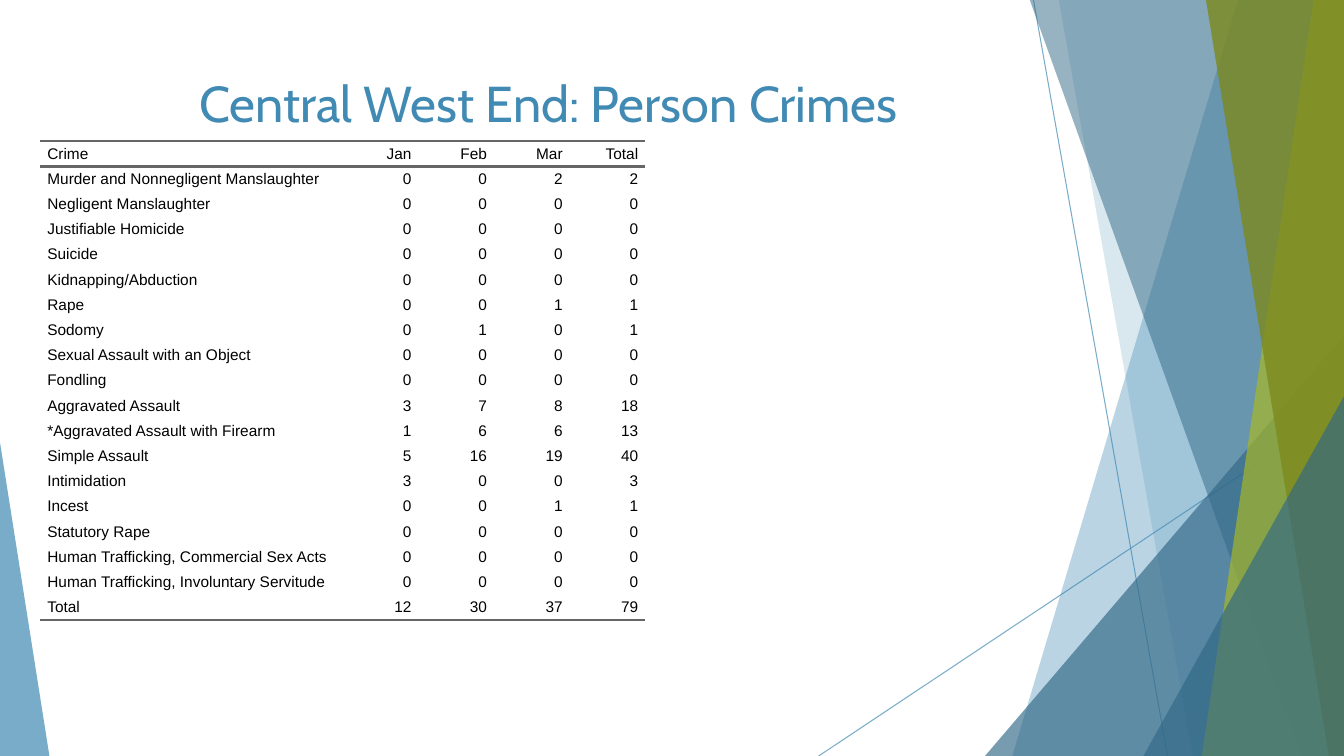
from lxml import etree
from pptx import Presentation
from pptx.dml.color import RGBColor
from pptx.enum.shapes import MSO_CONNECTOR, MSO_SHAPE
from pptx.enum.text import MSO_ANCHOR, PP_ALIGN
from pptx.oxml.ns import qn
from pptx.util import Pt

STRAIGHT = MSO_CONNECTOR.STRAIGHT
TRIANGLE = MSO_SHAPE.ISOSCELES_TRIANGLE
TOP, MIDDLE = MSO_ANCHOR.TOP, MSO_ANCHOR.MIDDLE
LEFT, CENTER, RIGHT = PP_ALIGN.LEFT, PP_ALIGN.CENTER, PP_ALIGN.RIGHT

PX = 9144  # EMU per px, 100 px to the inch
WIDTH, HEIGHT = 1333, 750
PLAIN_TABLE = "{2D5ABB26-0587-4C30-8999-92F81FD0307C}"
COLORS = {
    "blue": "418AB3",
    "navy": "316886",
    "lime": "A6B727",
    "olive": "7D891D",
    "rule": "666666",
    "ink": "000000",
}

HEADER = ("Crime", "Jan", "Feb", "Mar", "Total")
CRIMES = [
    ("Murder and Nonnegligent Manslaughter", 0, 0, 2, 2),
    ("Negligent Manslaughter", 0, 0, 0, 0),
    ("Justifiable Homicide", 0, 0, 0, 0),
    ("Suicide", 0, 0, 0, 0),
    ("Kidnapping/Abduction", 0, 0, 0, 0),
    ("Rape", 0, 0, 1, 1),
    ("Sodomy", 0, 1, 0, 1),
    ("Sexual Assault with an Object", 0, 0, 0, 0),
    ("Fondling", 0, 0, 0, 0),
    ("Aggravated Assault", 3, 7, 8, 18),
    ("*Aggravated Assault with Firearm", 1, 6, 6, 13),
    ("Simple Assault", 5, 16, 19, 40),
    ("Intimidation", 3, 0, 0, 3),
    ("Incest", 0, 0, 1, 1),
    ("Statutory Rape", 0, 0, 0, 0),
    ("Human Trafficking, Commercial Sex Acts", 0, 0, 0, 0),
    ("Human Trafficking, Involuntary Servitude", 0, 0, 0, 0),
    ("Total", 12, 30, 37, 79),
]


def apply(target, values):
    for name, value in values.items():
        setattr(target, name, value)


def px(*lengths):
    return [length * PX for length in lengths]


class SlideBuilder:
    def __init__(self, slide):
        self.slide = slide
        self.shapes = slide.shapes

    def rgb(self, color):
        return RGBColor.from_string(COLORS[color])

    def fade(self, shape, opacity):
        color = shape.element.spPr.find(".//" + qn("a:srgbClr"))
        etree.SubElement(color, qn("a:alpha"), val=str(opacity * 1000))

    def paint(self, shape, color, opacity):
        shape.shadow.inherit = False
        shape.fill.solid()
        shape.fill.fore_color.rgb = self.rgb(color)
        shape.line.fill.background()
        self.fade(shape, opacity)

    def line(self, start, end, color, opacity):
        line = self.shapes.add_connector(STRAIGHT, *px(*start, *end))
        line.line.color.rgb = self.rgb(color)
        line.line.width = Pt(0.75)
        self.fade(line, opacity)
        etree.SubElement(line.element.spPr, qn("a:effectLst"))

    def band(self, top_x, bottom_x, color, opacity):
        """Full-height band from a slanted left edge to the slide's right edge."""
        outline = self.shapes.build_freeform(top_x, -1, scale=PX)
        outline.add_line_segments([(WIDTH, -1), (WIDTH, HEIGHT), (bottom_x, HEIGHT)])
        self.paint(outline.convert_to_shape(), color, opacity)

    def corner(self, left, top, width, apex, color, opacity):
        """Triangle standing on the slide's bottom edge."""
        corner = self.shapes.add_shape(TRIANGLE, *px(left, top, width, HEIGHT - top))
        corner.adjustments[0] = apex
        self.paint(corner, color, opacity)

    def font(self, paragraph, name, size, color):
        apply(paragraph.font, {"name": name, "size": Pt(size), "bold": False})
        paragraph.font.color.rgb = self.rgb(color)

    def title(self, text, left, top, width, height):
        title = self.shapes.title
        box = dict(zip(("left", "top", "width", "height"), px(left, top, width, height)))
        apply(title, box)
        apply(title.text_frame, {"text": text, "vertical_anchor": TOP, "word_wrap": True})
        heading = title.text_frame.paragraphs[0]
        heading.alignment = CENTER
        self.font(heading, "Cabin", 36, "blue")
        self.shapes.element.append(title.element)  # bring to front

    def cell(self, cell, text, alignment, edges):
        margins = ("margin_left", "margin_right", "margin_top", "margin_bottom")
        apply(cell, {**dict.fromkeys(margins, 0), "text": text, "vertical_anchor": MIDDLE})
        cell.fill.background()
        entry = cell.text_frame.paragraphs[0]
        apply(entry, {"alignment": alignment, "space_before": Pt(5), "space_after": Pt(5)})
        self.font(entry, "Arial", 11, "ink")
        indents = entry._p.get_or_add_pPr()
        for side in ("marL", "marR"):
            indents.set(side, str(Pt(5)))
        for position, edge in enumerate(edges):
            rule = etree.Element(qn(f"a:{edge}"), w=str(Pt(2)))
            fill = etree.SubElement(rule, qn("a:solidFill"))
            etree.SubElement(fill, qn("a:srgbClr"), val=COLORS["rule"])
            cell._tc.get_or_add_tcPr().insert(position, rule)

    def table(self, rows, left, top, column_widths, row_height):
        size = px(left, top, sum(column_widths), row_height * len(rows))
        frame = self.shapes.add_table(len(rows), len(column_widths), *size)
        frame.element.find(".//" + qn("a:tableStyleId")).text = PLAIN_TABLE
        table = frame.table
        apply(table, {"first_row": False, "horz_banding": False})
        for column, width in zip(table.columns, column_widths):
            column.width = width * PX
        edges = {0: ("lnT", "lnB"), len(rows) - 1: ("lnB",)}
        for r, row in enumerate(rows):
            table.rows[r].height = row_height * PX
            for c, value in enumerate(row):
                alignment = RIGHT if c else LEFT
                self.cell(table.cell(r, c), str(value), alignment, edges.get(r, ()))


def main():
    deck = Presentation()
    deck.slide_width, deck.slide_height = px(WIDTH, HEIGHT)
    page = SlideBuilder(deck.slides.add_slide(deck.slide_layouts[5]))

    # Decorative lines, bands and corners
    page.line((1025, 0), (1158, HEIGHT), "blue", 70)
    page.line((WIDTH, 403), (812, HEIGHT), "blue", 70)
    page.band(1228, 1004, "blue", 36)
    page.band(1050, 1183, "blue", 20)
    page.corner(977, 333, 356, 1, "navy", 66)
    page.band(1021, 1291, "navy", 50)
    page.band(1303, 1192, "lime", 70)
    page.band(1196, 1318, "olive", 80)
    page.corner(1134, 393, 199, 1, "navy", 66)
    page.corner(0, 439, 49, 0, "blue", 70)

    # Crime counts by month
    page.table([HEADER, *CRIMES], 40, 140, [300] + [75] * 4, 25)

    # Title
    page.title("Central West End: Person Crimes", 74, 67, 940, 144)

    deck.save("out.pptx")


if __name__ == "__main__":
    main()
